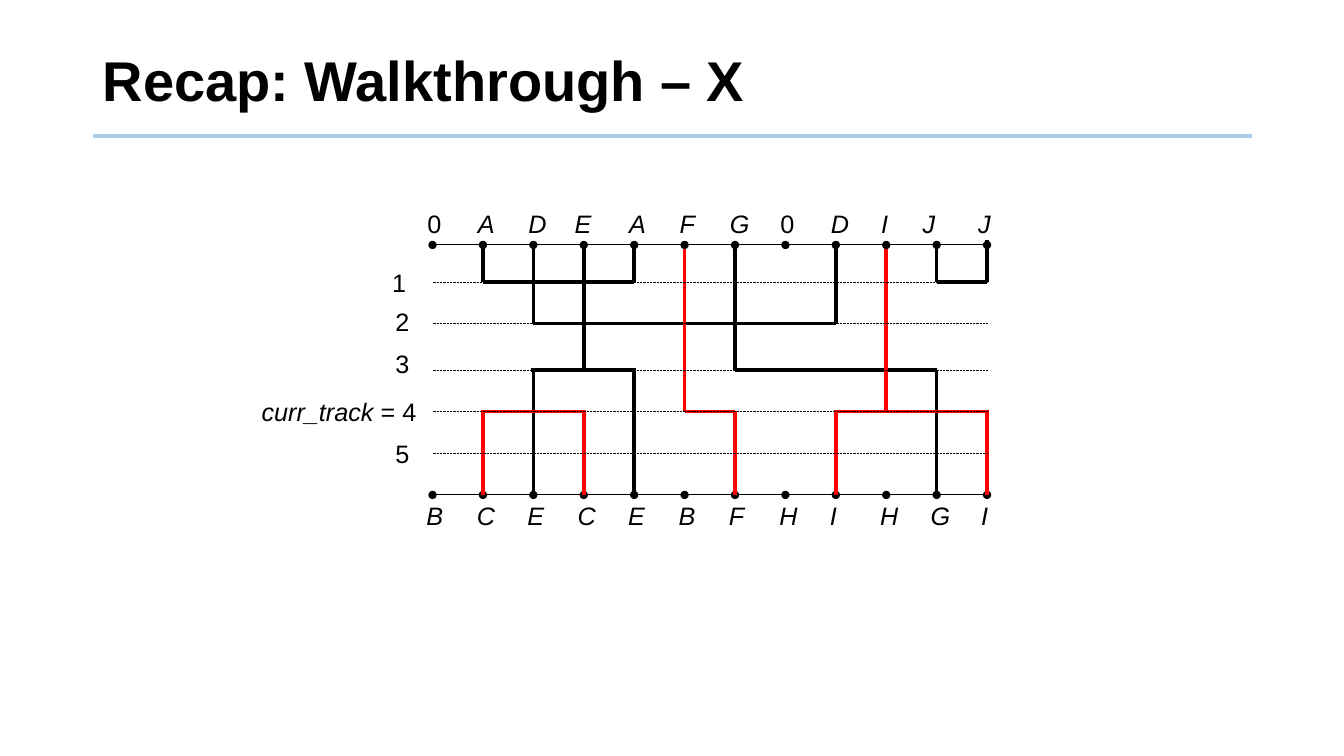
from dataclasses import dataclass

from lxml import etree
from pptx import Presentation
from pptx.dml.color import RGBColor
from pptx.enum.dml import MSO_LINE
from pptx.enum.shapes import MSO_CONNECTOR
from pptx.enum.text import MSO_ANCHOR, PP_ALIGN
from pptx.oxml.ns import qn
from pptx.util import Pt

PX = 9144  # 100 px to the inch
STRAIGHT = MSO_CONNECTOR.STRAIGHT
DOTTED = MSO_LINE.ROUND_DOT
LEFT, RIGHT = PP_ALIGN.LEFT, PP_ALIGN.RIGHT
MIDDLE = MSO_ANCHOR.MIDDLE
FONT = "Arial"
COLORS = {"black": "000000", "red": "FF0000", "rule": "ADCDEA"}

FIRST_X, PITCH = 429, 50
TOP_Y, BOTTOM_Y = 243, 491
WIRE_TOP = 241
PIN_LIFT = {11: 3}
TOP_PINS = "0ADEAFG0DIJJ"
BOTTOM_PINS = "BCECEBFHIHGI"
TOP_SHIFT = {3: -4, 10: -9, 11: -4}


@dataclass(frozen=True)
class Net:
    track: int
    top: tuple[int, ...]
    bottom: tuple[int, ...]
    color: str = "black"


@dataclass(frozen=True)
class Track:
    y: int
    name: str
    number: str
    left: int
    top: int
    width: int


NETS = (
    Net(1, (1, 4), ()),
    Net(2, (2, 8), ()),
    Net(3, (3,), (2, 4)),
    Net(4, (5,), (6,), "red"),
    Net(3, (6,), (10,)),
    Net(4, (9,), (8, 11), "red"),
    Net(1, (10, 11), ()),
    Net(4, (), (1, 3), "red"),
)
TRACKS = (
    Track(280, "", "1", 378, 260, 35),
    Track(321, "", "2", 347, 299, 70),
    Track(367, "", "3", 347, 341, 70),
    Track(408, "curr_track", " = 4", 241, 388, 183),
    Track(450, "", "5", 347, 430, 70),
)


def column_x(column: int) -> int:
    return FIRST_X + PITCH * column


def add_line(shapes, x1: int, y1: int, x2: int, y2: int, *, color: str = "black",
             width: float = 2.5, dash=None, dots: tuple[str, ...] = ()) -> None:
    """Draw a straight line; dots names the ends (headEnd, tailEnd) marked with an oval."""
    line = shapes.add_connector(STRAIGHT, x1 * PX, y1 * PX, x2 * PX, y2 * PX)
    line.line.color.rgb = RGBColor.from_string(COLORS[color])
    line.line.width = Pt(width)
    if dash is not None:
        line.line.dash_style = dash
    ln = line.line._get_or_add_ln()
    for end in dots:
        etree.SubElement(ln, qn(f"a:{end}"), type="oval")
    etree.SubElement(line._element.spPr, qn("a:effectLst"))


def add_run(p, text: str, *, size: int = 18, bold: bool = False, italic: bool = False) -> None:
    r = p.add_run()
    r.text = text
    r.font.name = FONT
    r.font.size = Pt(size)
    r.font.bold = bold
    r.font.italic = italic
    r.font.color.rgb = RGBColor.from_string(COLORS["black"])


def add_label(shapes, left: int, top: int, width: int, *, name: str = "",
              number: str = "", align=LEFT) -> None:
    """Add a label whose name is italic and whose number is upright."""
    tf = shapes.add_textbox(left * PX, top * PX, width * PX, 41 * PX).text_frame
    tf.word_wrap = True
    tf.margin_left = tf.margin_right = 11 * PX
    tf.margin_top = tf.margin_bottom = 5 * PX
    p = tf.paragraphs[0]
    p.alignment = align
    if name:
        add_run(p, name, italic=True)
    if number:
        add_run(p, number)


def add_rail(shapes, y: int) -> None:
    for i in range(len(TOP_PINS) - 1):
        dots = ("tailEnd",) if i else ("headEnd", "tailEnd")
        add_line(shapes, column_x(i), y, column_x(i + 1), y, width=0.75, dots=dots)


def add_pin_label(shapes, pin: str, left: int, top: int) -> None:
    kind = "number" if pin.isdigit() else "name"
    add_label(shapes, left, top, 62 if pin == "J" else 42, **{kind: pin})


def add_net(shapes, net: Net) -> None:
    y = TRACKS[net.track - 1].y
    for i in net.top:
        add_line(shapes, column_x(i), WIRE_TOP - PIN_LIFT.get(i, 0), column_x(i), y,
                 color=net.color)
    for i in net.bottom:
        add_line(shapes, column_x(i), y, column_x(i), BOTTOM_Y, color=net.color)
    columns = net.top + net.bottom
    overhang = 2 if len(net.bottom) > 1 else 0
    add_line(shapes, column_x(min(columns)) - overhang, y,
             column_x(max(columns)) + overhang, y, color=net.color)


def add_title(slide, text: str) -> None:
    sp = slide.shapes.title
    sp.left, sp.top, sp.width, sp.height = 92 * PX, 28 * PX, 1150 * PX, 110 * PX
    tf = sp.text_frame
    tf.vertical_anchor = MIDDLE
    p = tf.paragraphs[0]
    p.alignment = LEFT
    p.line_spacing = 0.9
    add_run(p, text, size=40, bold=True)


def main() -> None:
    prs = Presentation()
    prs.slide_width, prs.slide_height = 1333 * PX, 750 * PX
    slide = prs.slides.add_slide(prs.slide_layouts[5])
    shapes = slide.shapes

    add_title(slide, "Recap: Walkthrough – X")
    add_line(shapes, 92, 135, 1242, 135, color="rule", width=3)

    add_rail(shapes, BOTTOM_Y)
    for i, pin in enumerate(BOTTOM_PINS):
        add_pin_label(shapes, pin, column_x(i) - 17, BOTTOM_Y)
    for net in NETS:
        add_net(shapes, net)
    for track in TRACKS:
        add_line(shapes, FIRST_X, track.y, column_x(len(TOP_PINS) - 1), track.y,
                 width=0.5, dash=DOTTED)
        add_label(shapes, track.left, track.top, track.width,
                  name=track.name, number=track.number, align=RIGHT)
    add_rail(shapes, TOP_Y)
    for i, pin in enumerate(TOP_PINS):
        add_pin_label(shapes, pin, column_x(i) - 16 + TOP_SHIFT.get(i, 0), TOP_Y - 41)

    prs.save("out.pptx")


if __name__ == "__main__":
    main()
